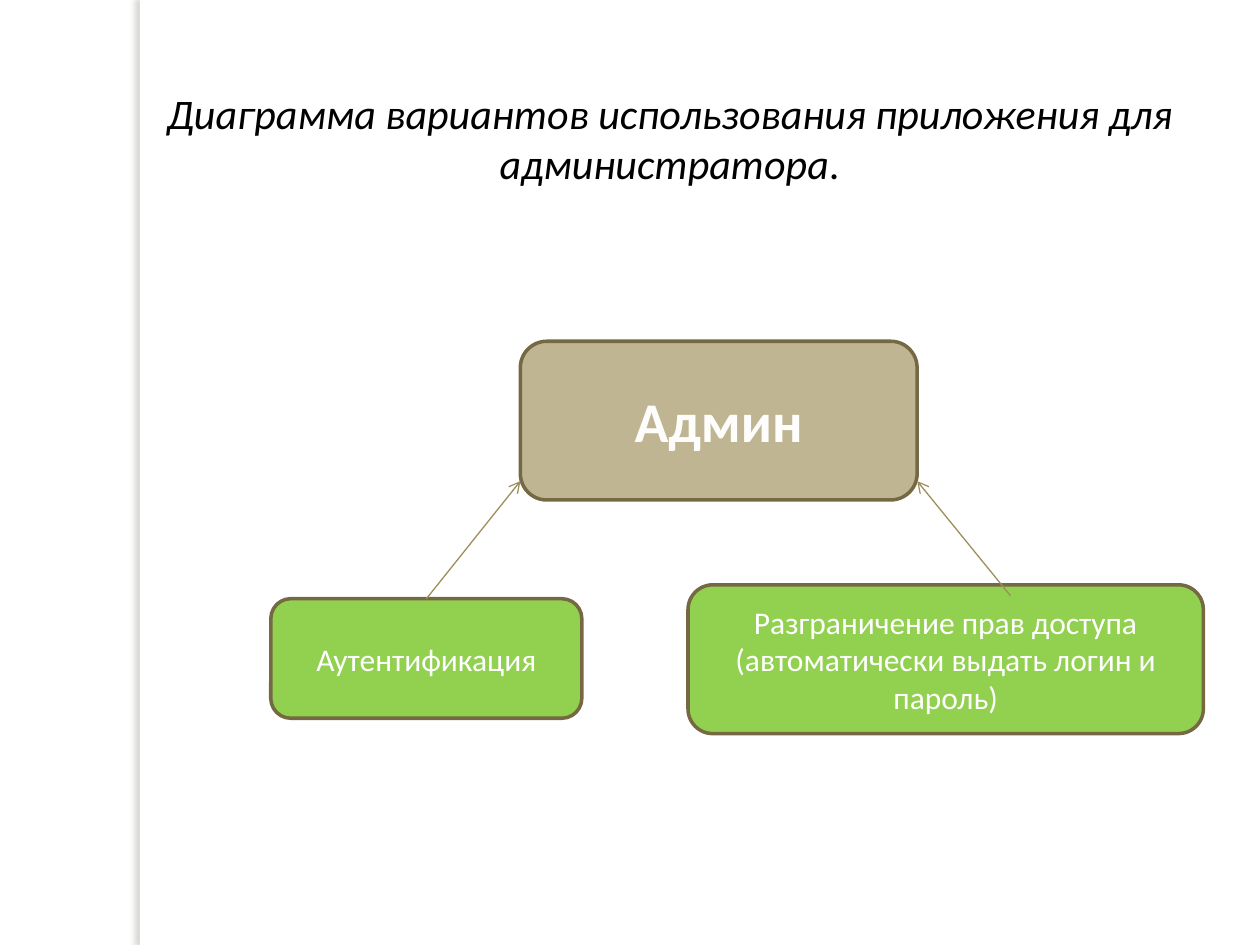
"""Build the administrator use case diagram slide."""
import pptx
import pptx.dml.color
import pptx.enum.shapes
import pptx.enum.text
import pptx.oxml
import pptx.oxml.ns
import pptx.util

Cm = pptx.util.Cm
Pt = pptx.util.Pt
Rgb = pptx.dml.color.RGBColor.from_string
Shape = pptx.enum.shapes.MSO_SHAPE

COLORS = {
    "white": "FFFFFF",
    "black": "000000",
    "actor": "C0B592",
    "actor_text": "FDFDFC",
    "use_case": "92D050",
    "border": "756944",
    "arrow": "9E8E5C",
    "shadow": "68665B",
}


def write(box, text, size=18, color="white", bold=False, italic=False, anchor="MIDDLE"):
    frame = box.text_frame
    frame.word_wrap = True
    frame.vertical_anchor = getattr(pptx.enum.text.MSO_ANCHOR, anchor)
    para = frame.paragraphs[0]
    para.alignment = pptx.enum.text.PP_ALIGN.CENTER
    span = para.add_run()
    span.text = text
    span.font.name = "Calibri"
    span.font.size = Pt(size)
    span.font.bold = bold
    span.font.italic = italic
    span.font.color.rgb = Rgb(COLORS[color])


deck = pptx.Presentation()
deck.slide_width = Cm(25.4)
deck.slide_height = Cm(19.05)
page = deck.slides.add_slide(deck.slide_layouts[6])

strip = page.shapes.add_shape(Shape.RECTANGLE, Cm(2.82), Cm(0), Cm(0.2), deck.slide_height)
strip.fill.solid()
strip.fill.fore_color.rgb = Rgb(COLORS["white"])
strip.line.fill.background()
strip_shadow = pptx.oxml.parse_xml(
    f'<a:effectLst {pptx.oxml.ns.nsdecls("a")}>'
    f'<a:outerShdw blurRad="{Pt(3)}" dist="{Pt(3)}" dir="10800000" rotWithShape="0">'
    f'<a:srgbClr val="{COLORS["shadow"]}"><a:alpha val="25000"/></a:srgbClr>'
    "</a:outerShdw></a:effectLst>"
)
strip.element.spPr.append(strip_shadow)

title = page.shapes.add_textbox(Cm(3.1), Cm(1.63), Cm(20.8), Cm(2.31))
title_text = "Диаграмма вариантов использования приложения для администратора"
write(title, title_text, size=24, color="black", italic=True, anchor="TOP")
write(title, ".", size=24, color="black", anchor="TOP")

actor_format = {"size": 32, "color": "actor_text", "bold": True}
rights_text = "Разграничение прав доступа (автоматически выдать логин и пароль)"
boxes = []
for text, left, top, width, height, fill, text_format in (
    ("Админ", 10.49, 6.88, 8, 3.2, "actor", actor_format),
    ("Аутентификация", 5.46, 12.07, 6.27, 2.41, "use_case", {}),
    (rights_text, 13.87, 11.79, 10.39, 3, "use_case", {}),
):
    box = page.shapes.add_shape(
        Shape.ROUNDED_RECTANGLE, Cm(left), Cm(top), Cm(width), Cm(height)
    )
    box.shadow.inherit = False
    box.fill.solid()
    box.fill.fore_color.rgb = Rgb(COLORS[fill])
    box.line.color.rgb = Rgb(COLORS["border"])
    box.line.width = Pt(2)
    write(box, text, **text_format)
    boxes.append(box)

admin, login, rights = boxes
arrow_tip = Cm(9.7)
for start_x, start_y, end_x, source in (
    (Cm(8.59), login.top, admin.left, login),
    (Cm(20.37), Cm(12.01), admin.left + admin.width, None),
):
    arrow = page.shapes.add_connector(
        pptx.enum.shapes.MSO_CONNECTOR.STRAIGHT, start_x, start_y, end_x, arrow_tip
    )
    if source is not None:
        arrow.begin_connect(source, 0)
    arrow.line.color.rgb = Rgb(COLORS["arrow"])
    arrow.line.width = Pt(0.75)
    head = pptx.oxml.parse_xml(f'<a:tailEnd {pptx.oxml.ns.nsdecls("a")} type="arrow"/>')
    arrow.line._get_or_add_ln().append(head)
    no_effect = pptx.oxml.parse_xml(f'<a:effectLst {pptx.oxml.ns.nsdecls("a")}/>')
    arrow.element.spPr.append(no_effect)

deck.save("out.pptx")
